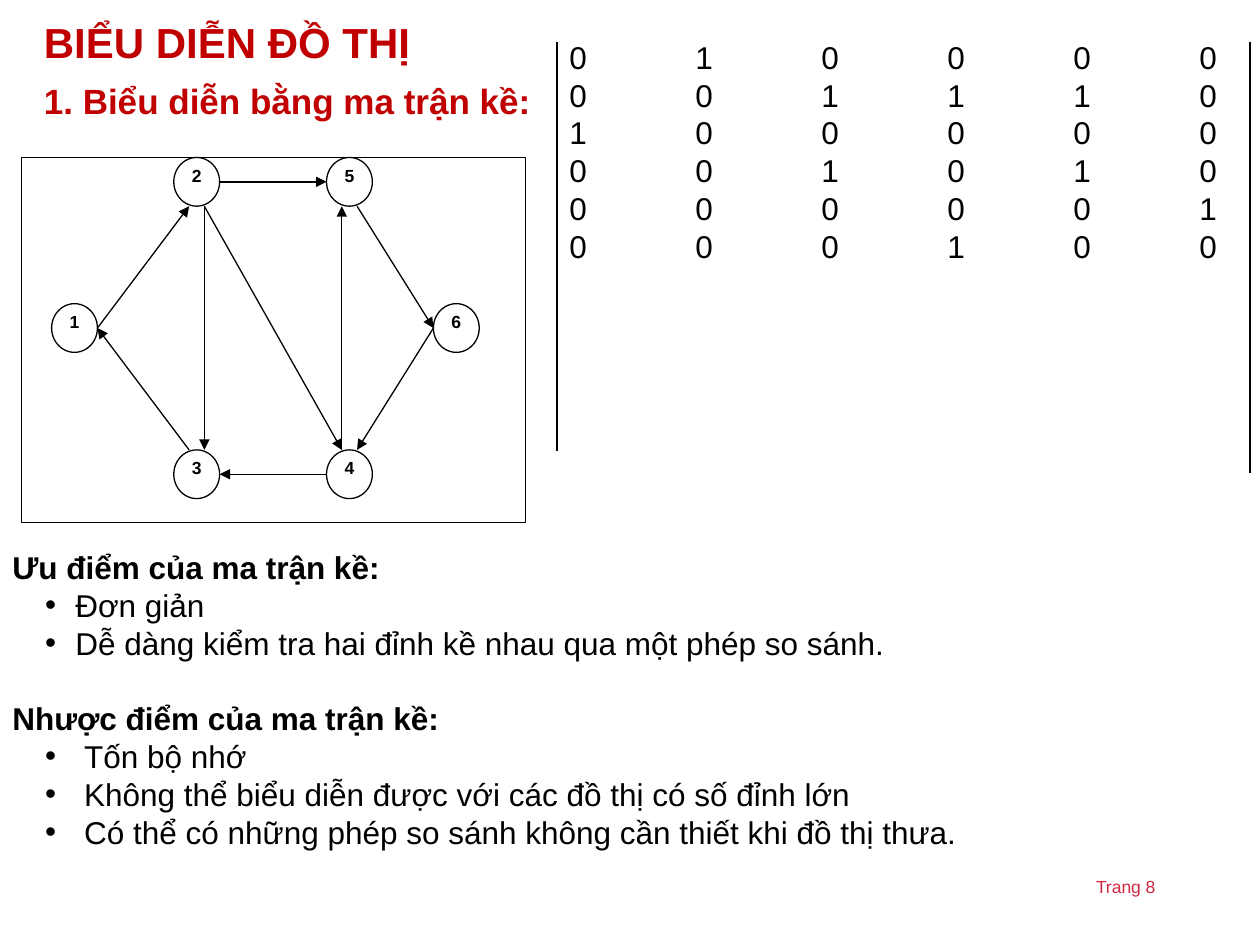
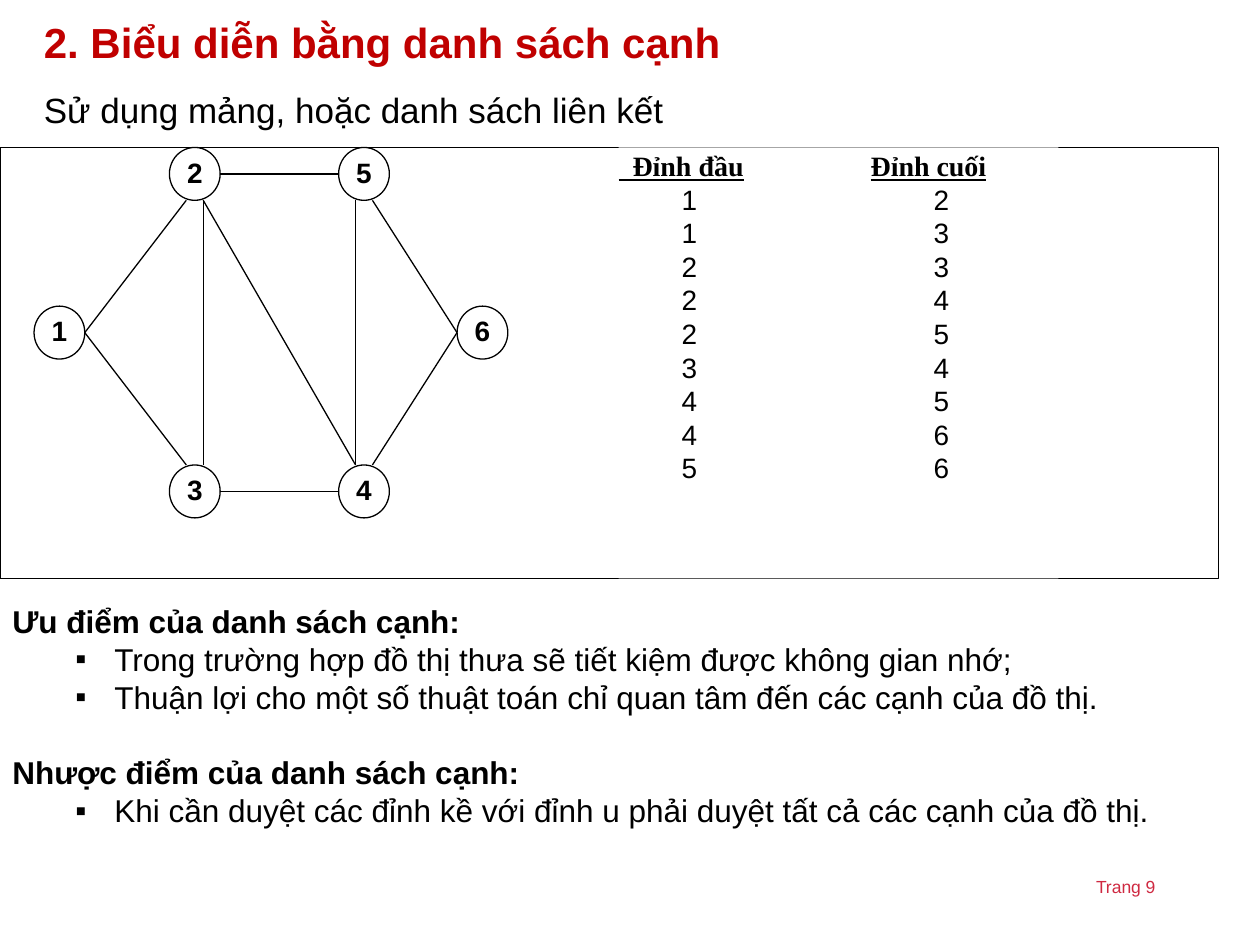
from lxml.etree import SubElement
from pptx import Presentation
from pptx.dml.color import RGBColor
from pptx.enum.shapes import MSO_CONNECTOR, MSO_SHAPE
from pptx.enum.text import MSO_ANCHOR, PP_ALIGN
from pptx.oxml.ns import qn
from pptx.util import Inches, Pt

BLACK, WHITE, TITLE_RED, FOOTER_RED = "000000", "FFFFFF", "C00000", "CF2941"
SANS, SERIF = "Arial", "Times New Roman"
LINE_HEIGHT = 1.2
BODY_SIZE = 18
BOX_MARGINS = (0.1, 0.05)
NO_MARGINS = (0, 0)

NODE_CELLS = {"1": (0, 12), "2": (8, 0), "5": (18, 0),
              "3": (8, 24), "4": (18, 24), "6": (25, 12)}
NODE_WIDTH, NODE_HEIGHT = 3, 4
ANCHORS = {"left": (0, 2), "right": (3, 2),
           "top left": (1, 0), "top right": (2, 0),
           "bottom left": (1, 4), "bottom right": (2, 4)}
EDGES = [
    ("1", "right", "2", "bottom left"),
    ("2", "right", "5", "left"),
    ("3", "top left", "1", "right"),
    ("4", "left", "3", "right"),
    ("6", "left", "4", "top right"),
    ("5", "bottom right", "6", "left"),
    ("2", "bottom right", "3", "top right"),
    ("4", "top left", "5", "bottom left"),
    ("2", "bottom right", "4", "top left"),
]

ADJACENCY_MATRIX = [
    (0, 1, 0, 0, 0, 0),
    (0, 0, 1, 1, 1, 0),
    (1, 0, 0, 0, 0, 0),
    (0, 0, 1, 0, 1, 0),
    (0, 0, 0, 0, 0, 1),
    (0, 0, 0, 1, 0, 0),
]
EDGE_LIST_HEADINGS = ("  Đỉnh đầu", "Đỉnh cuối")
EDGE_LIST = [(1, 2), (1, 3), (2, 3), (2, 4), (2, 5), (3, 4), (4, 5), (4, 6), (5, 6)]

MATRIX_SLIDE = {
    "page": 8,
    "heading": [
        {"text": "BIỂU DIỄN ĐỒ THỊ", "size": 24, "bold": True, "color": TITLE_RED},
        {"text": "1. Biểu diễn bằng ma trận kề:", "size": 20, "bold": True,
         "color": TITLE_RED, "before": 7.5},
    ],
    "graph": {"frame": (0.17, 1.25, 4, 2.9), "origin": (0.41, 1.25),
              "unit": (0.1212, 0.0967), "size": 10, "directed": True},
    "notes_box": (0, 4.3, 10, 2.5),
    "bullet": "•",
    "notes": [
        ("Ưu điểm của ma trận kề:", (0.5, 0.24), [
            "Đơn giản",
            "Dễ dàng kiểm tra hai đỉnh kề nhau qua một phép so sánh."]),
        ("Nhược điểm của ma trận kề:", (0.57, 0.31), [
            "Tốn bộ nhớ",
            "Không thể biểu diễn được với các đồ thị có số đỉnh lớn",
            "Có thể có những phép so sánh không cần thiết khi đồ thị thưa."]),
    ],
}
EDGE_LIST_SLIDE = {
    "page": 9,
    "heading": [
        {"text": "2. Biểu diễn bằng danh sách cạnh", "size": 24, "bold": True,
         "color": TITLE_RED},
        {"text": "Sử dụng mảng, hoặc danh sách liên kết", "size": 20, "before": 12.5},
    ],
    "graph": {"frame": (0, 1.17, 9.67, 3.42), "origin": (0.27, 1.17),
              "unit": (0.1343, 0.105), "size": 16, "directed": False},
    "notes_box": (0, 4.73, 10, 1.9),
    "bullet": "▪",
    "notes": [
        ("Ưu điểm của danh sách cạnh:", (0.81, 0.31), [
            "Trong trường hợp đồ thị thưa sẽ tiết kiệm được không gian nhớ;",
            "Thuận lợi cho một số thuật toán chỉ quan tâm đến các cạnh của đồ thị."]),
        ("Nhược điểm của danh sách cạnh:", (0.81, 0.31), [
            "Khi cần duyệt các đỉnh kề với đỉnh u phải duyệt tất cả các cạnh của đồ thị."]),
    ],
}


def rgb(value):
    return RGBColor.from_string(value)


def inches(values):
    return [Inches(value) for value in values]


def apply(target, formats):
    for name, value in formats.items():
        setattr(target, name, value)


def write(shape, paragraphs, margins=BOX_MARGINS, anchor=MSO_ANCHOR.TOP):
    side, edge = inches(margins)
    frame = shape.text_frame
    apply(frame, {"word_wrap": True, "vertical_anchor": anchor,
                  "margin_left": side, "margin_right": side,
                  "margin_top": edge, "margin_bottom": edge})
    for index, item in enumerate(paragraphs):
        paragraph = frame.add_paragraph() if index else frame.paragraphs[0]
        apply(paragraph, {"alignment": item.get("align", PP_ALIGN.LEFT),
                          "line_spacing": Pt(item["size"] * LINE_HEIGHT),
                          "space_before": Pt(item.get("before", 0))})
        properties = paragraph._p.get_or_add_pPr()
        if "bullet" in item:
            margin, hang = item["indent"]
            properties.set("marL", str(Inches(margin)))
            properties.set("indent", str(-Inches(hang)))
            SubElement(properties, qn("a:buFont")).set("typeface", SANS)
            SubElement(properties, qn("a:buChar")).set("char", item["bullet"])
        if "tabs" in item:
            tab_list = SubElement(properties, qn("a:tabLst"))
            for position in item["tabs"]:
                tab = SubElement(tab_list, qn("a:tab"))
                tab.set("pos", str(Inches(position)))
                tab.set("algn", "l")
        for part in item.get("parts", [item]):
            run = paragraph.add_run()
            run.text = part["text"]
            apply(run.font, {"size": Pt(item["size"]), "name": part.get("font", SANS),
                             "bold": part.get("bold", False),
                             "underline": part.get("underline", False)})
            run.font.color.rgb = rgb(part.get("color", BLACK))


def add_text(slide, box, paragraphs, **layout):
    write(slide.shapes.add_textbox(*inches(box)), paragraphs, **layout)


def add_box(slide, kind, box, fill=None, line=None):
    shape = slide.shapes.add_shape(kind, *inches(box))
    shape.shadow.inherit = False
    if fill:
        shape.fill.solid()
        shape.fill.fore_color.rgb = rgb(fill)
    else:
        shape.fill.background()
    if line:
        shape.line.color.rgb = rgb(line)
        shape.line.width = Pt(0.75)
    else:
        shape.line.fill.background()
    return shape


def add_line(slide, start, end, arrow=False):
    connector = slide.shapes.add_connector(
        MSO_CONNECTOR.STRAIGHT, *inches(start), *inches(end))
    connector.line.color.rgb = rgb(BLACK)
    connector.line.width = Pt(0.75)
    if arrow:
        SubElement(connector.line._get_or_add_ln(), qn("a:tailEnd")).set("type", "triangle")
    SubElement(connector._element.spPr, qn("a:effectLst"))


def add_graph(slide, frame, origin, unit, size, directed):
    def place(node, offset=(0, 0)):
        return [start + step * (cell + shift) for start, step, cell, shift
                in zip(origin, unit, NODE_CELLS[node], offset)]

    add_box(slide, MSO_SHAPE.RECTANGLE, frame, line=BLACK)
    node_size = [NODE_WIDTH * unit[0], NODE_HEIGHT * unit[1]]
    for node in NODE_CELLS:
        circle = add_box(slide, MSO_SHAPE.OVAL, place(node) + node_size, WHITE, BLACK)
        write(circle, [{"text": node, "size": size, "bold": True,
                        "align": PP_ALIGN.CENTER}], NO_MARGINS)
    for source, source_side, target, target_side in EDGES:
        add_line(slide, place(source, ANCHORS[source_side]),
                 place(target, ANCHORS[target_side]), directed)


def add_notes(slide, box, bullet, sections):
    paragraphs = []
    for title, indent, points in sections:
        gap = BODY_SIZE * LINE_HEIGHT if paragraphs else 0
        paragraphs.append({"text": title, "size": BODY_SIZE, "bold": True, "before": gap})
        paragraphs += [{"text": point, "size": BODY_SIZE, "bullet": bullet,
                        "indent": indent} for point in points]
    add_text(slide, box, paragraphs, anchor=MSO_ANCHOR.MIDDLE)


def add_matrix(slide):
    panel = add_box(slide, MSO_SHAPE.RECTANGLE, (4.42, 0.25, 5.42, 3.58), WHITE)
    write(panel, [{"text": "\t".join(map(str, row)), "size": BODY_SIZE,
                   "tabs": range(1, len(row))} for row in ADJACENCY_MATRIX])
    for x, bottom in [(4.42, 3.58), (9.92, 3.75)]:
        add_line(slide, (x, 0.33), (x, bottom))


def add_edge_list(slide):
    panel = add_box(slide, MSO_SHAPE.RECTANGLE, (4.91, 1.17, 3.49, 3.42), WHITE)
    first, second = [{"text": text, "font": SERIF, "bold": True, "underline": True}
                     for text in EDGE_LIST_HEADINGS]
    rows = [{"parts": [first, {"text": "\t"}, second], "size": 16, "tabs": [2]}]
    rows += [{"text": f"\t{start}\t{end}", "size": 16, "tabs": [0.5, 2.5]}
             for start, end in EDGE_LIST]
    write(panel, rows, (0, 0.01))


def build_slide(presentation, content, add_representation):
    slide = presentation.slides.add_slide(presentation.slide_layouts[6])
    add_text(slide, (8.6, 6.9, 1.21, 0.27),
             [{"text": f"Trang {content['page']}", "size": 10, "color": FOOTER_RED}])
    add_text(slide, (0.25, 0.08, 9.5, 1), content["heading"])
    add_graph(slide, **content["graph"])
    add_representation(slide)
    add_notes(slide, content["notes_box"], content["bullet"], content["notes"])


def main():
    presentation = Presentation()
    apply(presentation, {"slide_width": Inches(10), "slide_height": Inches(7.5)})
    build_slide(presentation, MATRIX_SLIDE, add_matrix)
    build_slide(presentation, EDGE_LIST_SLIDE, add_edge_list)
    presentation.save("out.pptx")


if __name__ == "__main__":
    main()
